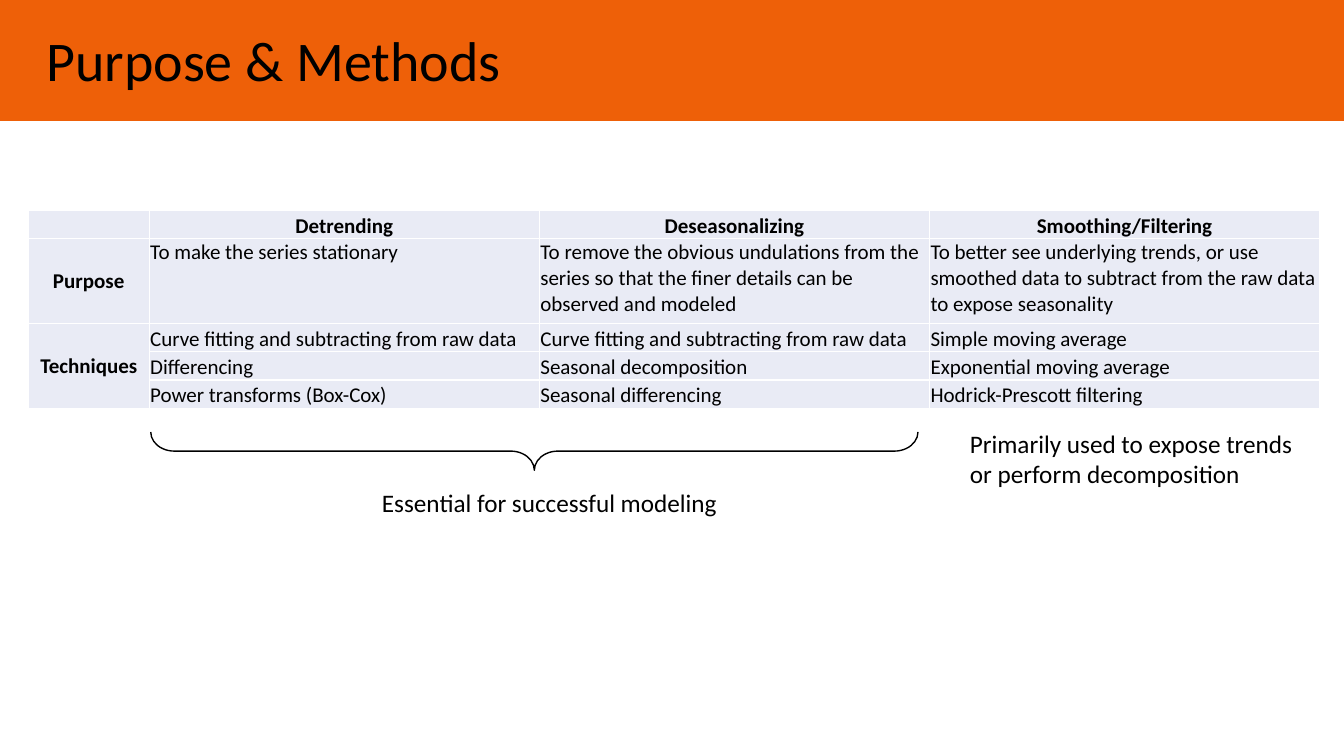
"""Builds the "Purpose & Methods" slide about time series preparation."""
from lxml import etree
from pptx import Presentation
from pptx.dml.color import RGBColor
from pptx.enum import shapes, text
from pptx.oxml import ns
from pptx.util import Inches, Pt

COLORS = {"band": "EE6008", "cell": "E9EBF5", "ink": "000000", "border": "FFFFFF"}
FONT = "Calibri"
TABLE_SIZE = 15
COLUMN_WIDTHS = [1.2, 3.87, 3.87, 3.87]
ROW_HEIGHTS = [0.28, 0.84, 0.28, 0.28, 0.28]
METHODS = [
    ["", "Detrending", "Deseasonalizing", "Smoothing/Filtering"],
    ["Purpose",
     "To make the series stationary",
     "To remove the obvious undulations from the series so that the finer details "
     "can be observed and modeled",
     "To better see underlying trends, or use smoothed data to subtract from the raw "
     "data to expose seasonality"],
    ["Techniques",
     "Curve fitting and subtracting from raw data",
     "Curve fitting and subtracting from raw data",
     "Simple moving average"],
    ["", "Differencing", "Seasonal decomposition", "Exponential moving average"],
    ["", "Power transforms (Box-Cox)", "Seasonal differencing",
     "Hodrick-Prescott filtering"],
]


def color(name):
    """Return the named colour."""
    return RGBColor.from_string(COLORS[name])


def write(frame, words, size=18, bold=False, align=text.PP_ALIGN.LEFT):
    """Write formatted words into a text frame."""
    paragraph = frame.paragraphs[0]
    paragraph.alignment = align
    if not words:
        etree.SubElement(paragraph._p, ns.qn("a:endParaRPr"), sz=str(size * 100))
        return
    run = paragraph.add_run()
    run.text = words
    run.font.name = FONT
    run.font.size = Pt(size)
    run.font.bold = bold
    run.font.color.rgb = color("ink")


def add_title(slide, words):
    """Place the title on its coloured band."""
    title = slide.shapes.title
    title.left, title.top = Inches(0.36), Inches(0.2)
    title.width, title.height = Inches(10.03), Inches(0.77)
    title.text_frame.vertical_anchor = text.MSO_ANCHOR.TOP
    title.text_frame.auto_size = text.MSO_AUTO_SIZE.SHAPE_TO_FIT_TEXT
    write(title.text_frame, words, size=40)
    band = slide.shapes.add_shape(
        shapes.MSO_SHAPE.RECTANGLE, 0, 0, Inches(13.33), Inches(1.2))
    band.shadow.inherit = False
    band.fill.solid()
    band.fill.fore_color.rgb = color("band")
    band.line.fill.background()
    title.element.addprevious(band.element)


def add_borders(cell):
    """Draw thin borders on all four sides of a cell."""
    properties = cell._tc.get_or_add_tcPr()
    for index, side in enumerate(["lnL", "lnR", "lnT", "lnB"]):
        line = etree.Element(ns.qn(f"a:{side}"), w=str(Pt(1)))
        fill = etree.SubElement(line, ns.qn("a:solidFill"))
        etree.SubElement(fill, ns.qn("a:srgbClr"), val=COLORS["border"])
        properties.insert(index, line)


def format_cell(cell, words, row, column):
    """Fill a table cell and format it by its role."""
    techniques = words == "Techniques"
    cell.margin_left = Inches(0.12 if techniques else 0.01)
    cell.margin_right = cell.margin_top = Inches(0.01)
    cell.margin_bottom = Inches(0.01 if techniques else 0)
    if column == 0:
        cell.vertical_anchor = text.MSO_ANCHOR.MIDDLE
    else:
        cell.vertical_anchor = text.MSO_ANCHOR.TOP if row == 1 else text.MSO_ANCHOR.BOTTOM
    heading = row == 0 or column == 0
    centred = heading and not techniques
    write(cell.text_frame, words, size=TABLE_SIZE, bold=heading,
          align=text.PP_ALIGN.CENTER if centred else text.PP_ALIGN.LEFT)
    cell.fill.solid()
    cell.fill.fore_color.rgb = color("cell")
    add_borders(cell)


def add_methods_table(slide):
    """Add the table of purposes and techniques."""
    methods = slide.shapes.add_table(
        len(ROW_HEIGHTS), len(COLUMN_WIDTHS), Inches(0.28), Inches(2.09),
        Inches(sum(COLUMN_WIDTHS)), Inches(sum(ROW_HEIGHTS))).table
    methods.horz_banding = False
    for column, width in zip(methods.columns, COLUMN_WIDTHS):
        column.width = Inches(width)
    for row, height in zip(methods.rows, ROW_HEIGHTS):
        row.height = Inches(height)
    for row, entries in enumerate(METHODS):
        for column, words in enumerate(entries):
            format_cell(methods.cell(row, column), words, row, column)
    methods.cell(2, 0).merge(methods.cell(4, 0))


def add_brace(slide):
    """Add the brace under the two modeling columns."""
    brace = slide.shapes.add_shape(
        shapes.MSO_SHAPE.LEFT_BRACE, Inches(5.11), Inches(0.67), Inches(0.38), Inches(7.61))
    brace.rotation = 270
    brace.adjustments[0] = 0.615
    brace.shadow.inherit = False
    brace.fill.background()
    brace.line.color.rgb = color("ink")
    brace.line.width = Pt(1)


def add_note(slide, words, left, top, width, height, wrap=True):
    """Add a remark below the table."""
    note = slide.shapes.add_textbox(Inches(left), Inches(top), Inches(width), Inches(height))
    note.text_frame.word_wrap = wrap
    note.text_frame.auto_size = text.MSO_AUTO_SIZE.SHAPE_TO_FIT_TEXT
    write(note.text_frame, words)


def main():
    """Build and save the slide."""
    deck = Presentation()
    deck.slide_width, deck.slide_height = Inches(13.33), Inches(7.5)
    slide = deck.slides.add_slide(deck.slide_layouts.get_by_name("Title Only"))
    add_title(slide, "Purpose & Methods")
    add_methods_table(slide)
    add_brace(slide)
    add_note(slide, "Essential for successful modeling", 3.69, 4.79, 3.56, 0.4, wrap=False)
    add_note(slide, "Primarily used to expose trends or perform decomposition",
             9.52, 4.2, 3.45, 0.71)
    deck.save("out.pptx")


if __name__ == "__main__":
    main()
